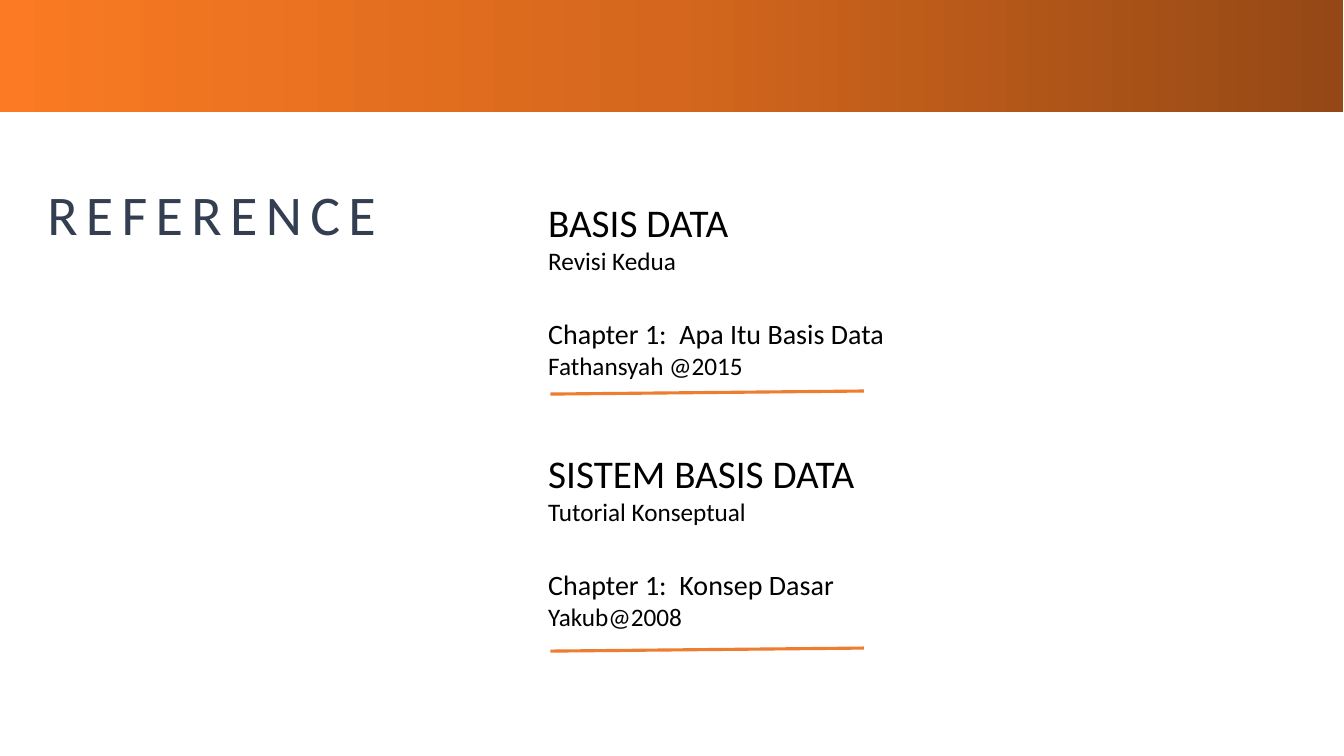
from copy import deepcopy

from lxml import etree
from pptx import Presentation
from pptx.dml.color import RGBColor
from pptx.enum.shapes import MSO_CONNECTOR, MSO_SHAPE
from pptx.enum.text import MSO_ANCHOR, MSO_AUTO_SIZE, PP_ALIGN
from pptx.oxml.ns import qn
from pptx.util import Pt

STRAIGHT, RECT = MSO_CONNECTOR.STRAIGHT, MSO_SHAPE.RECTANGLE
BOTTOM, TOP = MSO_ANCHOR.BOTTOM, MSO_ANCHOR.TOP
NO_FIT, GROW, LEFT = MSO_AUTO_SIZE.NONE, MSO_AUTO_SIZE.SHAPE_TO_FIT_TEXT, PP_ALIGN.LEFT
COLOURS = {"white": "FFFFFF", "slate": "333F50", "black": "000000", "rule": "ED7D31",
           "dark": "954815", "mid": "D4671D", "bright": "FB7A23"}
FONT = "Calibri"
LINE_SIZES = (28, 18, 20, 18)
CHAPTER_LINE, CHAPTER_GAP = 2, 29.3
BOOKS = [
    {"box": (384.5, 138.2, 261.4, 159.8), "rule_drop": 143.3,
     "lines": ("BASIS DATA", "Revisi Kedua", "Chapter 1:  Apa Itu Basis Data ", "Fathansyah @2015")},
    {"box": (384.5, 317.5, 236.2, 159.8), "rule_drop": 147.6,
     "lines": ("SISTEM BASIS DATA", "Tutorial Konseptual", "Chapter 1:  Konsep Dasar", "Yakub@2008")},
]


def rgb(name):
    """Return the named colour."""
    return RGBColor.from_string(COLOURS[name])


def assign(target, **values):
    """Set several attributes on one object."""
    for key, value in values.items():
        setattr(target, key, value)


def add_run(p, text, size, colour):
    """Add a formatted run to a paragraph."""
    r = p.add_run()
    r.text = text
    assign(r.font, name=FONT, size=Pt(size))
    r.font.color.rgb = rgb(colour)
    return r


def add_title(slide, box, text):
    """Place the letter-spaced title in its box."""
    sp = slide.shapes.title
    assign(sp, **dict(zip(("left", "top", "width", "height"), map(Pt, box))))
    sp.fill.solid()
    sp.fill.fore_color.rgb = rgb("white")
    tf = sp.text_frame
    assign(tf, vertical_anchor=BOTTOM, auto_size=NO_FIT, word_wrap=True)
    p = tf.paragraphs[0]
    assign(p, alignment=LEFT, line_spacing=0.9)
    r = add_run(p, text, 40, "slate")
    r.font._element.set("spc", "600")


def add_band(slide, box):
    """Draw the gradient band across the top."""
    sp = slide.shapes.add_shape(RECT, *map(Pt, box))
    sp.shadow.inherit = False
    sp.line.fill.background()
    sp.fill.gradient()
    sp.fill.gradient_angle = 180
    first = sp._element.spPr.find(".//" + qn("a:gs"))
    first.addnext(deepcopy(first))
    for stop, position, name in zip(sp.fill.gradient_stops, (0, 0.5, 1), ("dark", "mid", "bright")):
        stop.position = position
        stop.color.rgb = rgb(name)


def add_book(slide, box, lines, rule_drop):
    """Place a book reference and the rule below it."""
    left, top = box[:2]
    tf = slide.shapes.add_textbox(*map(Pt, box)).text_frame
    assign(tf, word_wrap=False, auto_size=GROW, vertical_anchor=TOP)
    for i, (text, size) in enumerate(zip(lines, LINE_SIZES)):
        p = tf.add_paragraph() if i else tf.paragraphs[0]
        p.alignment = LEFT
        if i == CHAPTER_LINE:
            p.space_before = Pt(CHAPTER_GAP)
        add_run(p, text, size, "black")
    x, y = left + 8.6, top + rule_drop
    rule = slide.shapes.add_connector(STRAIGHT, Pt(x), Pt(y), Pt(x + 224), Pt(y - 2.2))
    rule.line.width = Pt(2.25)
    rule.line.color.rgb = rgb("rule")
    etree.SubElement(rule._element.spPr, qn("a:effectLst"))


def main():
    """Build and save the reference slide."""
    prs = Presentation()
    assign(prs, slide_width=Pt(960), slide_height=Pt(540))
    slide = prs.slides.add_slide(prs.slide_layouts[5])
    add_title(slide, (26.6, 118.1, 365.8, 62.6), "REFERENCE")
    add_band(slide, (-0.7, 0, 960, 80))
    for book in BOOKS:
        add_book(slide, **book)
    prs.save("out.pptx")


main()
